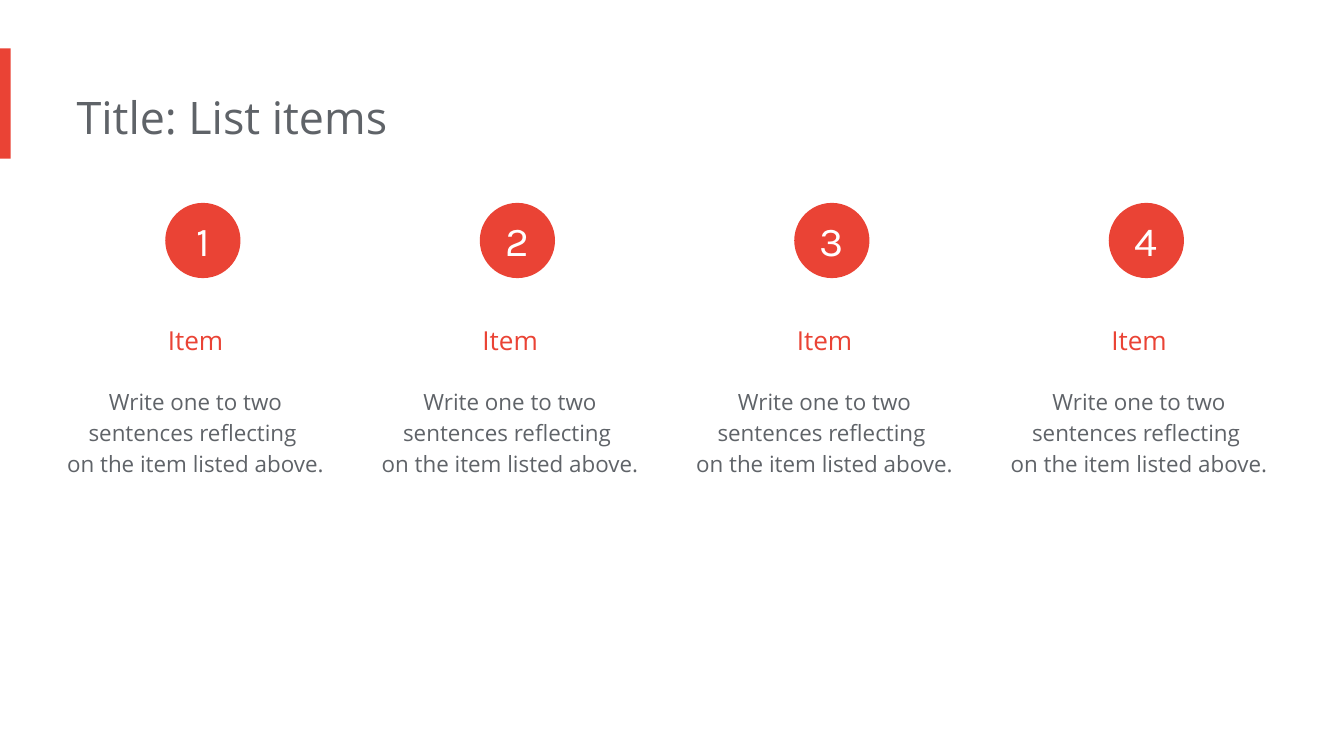
from pptx import Presentation
from pptx.dml.color import RGBColor
from pptx.enum.shapes import MSO_SHAPE
from pptx.enum.text import MSO_ANCHOR, MSO_AUTO_SIZE, PP_ALIGN
from pptx.util import Inches, Pt

RED = RGBColor(0xEA, 0x43, 0x35)
GRAY = RGBColor(0x5F, 0x63, 0x68)
WHITE = RGBColor(0xFF, 0xFF, 0xFF)

# Widescreen page, in inches
PAGE_WIDTH = 10
PAGE_HEIGHT = PAGE_WIDTH * 9 / 16

# Column grid, in inches
COLUMN_COUNT = 4
COLUMN_LEFT = 0.48
COLUMN_PITCH = 2.34
COLUMN_WIDTH = 2.05
CIRCLE_OFFSET = 0.75
CIRCLE_SIZE = 0.56

# Rows, in inches
CIRCLE_TOP = 1.51
HEADING_TOP = 2.2
HEADING_HEIGHT = 0.56
DETAIL_TOP = HEADING_TOP + HEADING_HEIGHT
DETAIL_HEIGHT = 0.9

# \v is a line break within the paragraph
DETAIL = "Write one to two sentences reflecting \von the item listed above."


def inches(*lengths):
    return [Inches(length) for length in lengths]


def write(frame, text, font_name, size, color, alignment=PP_ALIGN.CENTER, spacing=None):
    frame.word_wrap = True
    para = frame.paragraphs[0]
    para.text = text
    para.alignment = alignment
    para.line_spacing = spacing
    para.font.name = font_name
    para.font.size = Pt(size)
    para.font.color.rgb = color


def set_insets(frame, left, others):
    frame.margin_left = Inches(left)
    frame.margin_top = frame.margin_right = frame.margin_bottom = Inches(others)


def add_title(page, text):
    title = page.shapes.title
    title.left, title.top, title.width, title.height = inches(0.57, 0.57, 6.73, 0.61)
    frame = title.text_frame
    set_insets(frame, 0, 0.1)
    frame.vertical_anchor = MSO_ANCHOR.TOP
    frame.auto_size = MSO_AUTO_SIZE.SHAPE_TO_FIT_TEXT
    write(frame, text, "Open Sans", 24, GRAY, PP_ALIGN.LEFT)


def add_red_shape(page, kind, left, top, width, height):
    shape = page.shapes.add_shape(kind, *inches(left, top, width, height))
    shape.shadow.inherit = False
    shape.fill.solid()
    shape.fill.fore_color.rgb = RED
    shape.line.fill.background()
    return shape


def add_number(page, left, number):
    circle = add_red_shape(page, MSO_SHAPE.OVAL, left, CIRCLE_TOP, CIRCLE_SIZE, CIRCLE_SIZE)
    frame = circle.text_frame
    set_insets(frame, 0, 0)
    frame.vertical_anchor = MSO_ANCHOR.MIDDLE
    write(frame, str(number), "Karla", 22, WHITE)


def add_column_text(page, left, top, height, text, size, color, spacing):
    box = page.shapes.add_textbox(*inches(left, top, COLUMN_WIDTH, height))
    frame = box.text_frame
    set_insets(frame, 0, 0.1)
    frame.auto_size = MSO_AUTO_SIZE.SHAPE_TO_FIT_TEXT
    write(frame, text, "Open Sans", size, color, spacing=spacing)


def main():
    deck = Presentation()
    deck.slide_width, deck.slide_height = inches(PAGE_WIDTH, PAGE_HEIGHT)
    page = deck.slides.add_slide(deck.slide_layouts.get_by_name("Title Only"))

    add_red_shape(page, MSO_SHAPE.RECTANGLE, 0, 0.36, 0.08, 0.82)
    add_title(page, "Title: List items")
    for column in range(COLUMN_COUNT):
        left = COLUMN_LEFT + column * COLUMN_PITCH
        add_column_text(page, left, HEADING_TOP, HEADING_HEIGHT, "Item", 14, RED, 1.5)
        add_column_text(page, left, DETAIL_TOP, DETAIL_HEIGHT, DETAIL, 12, GRAY, 1.15)
        add_number(page, left + CIRCLE_OFFSET, column + 1)

    deck.save("out.pptx")


if __name__ == "__main__":
    main()
